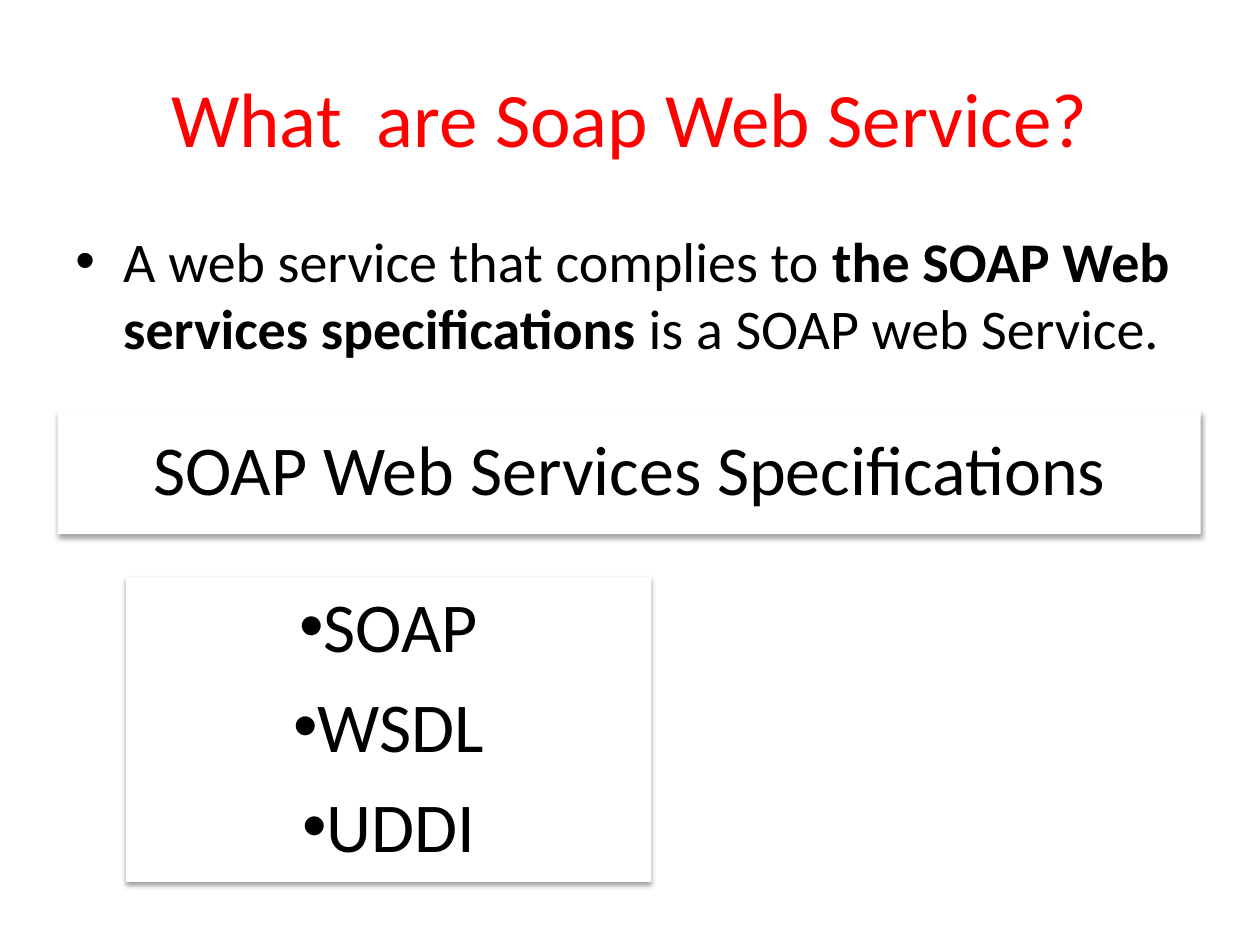
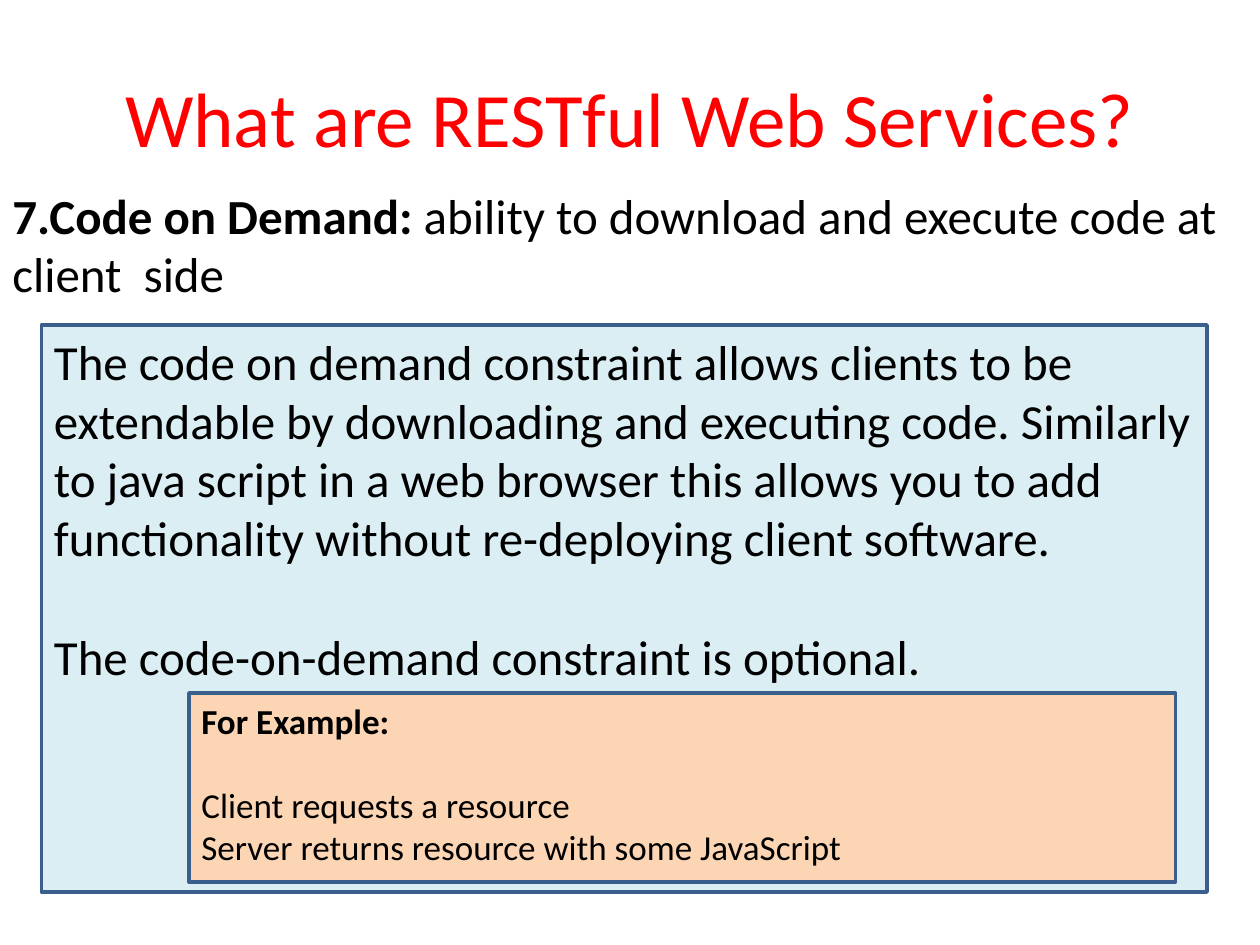
import pptx
import pptx.util
import pptx.dml.color
import pptx.enum.shapes
import pptx.enum.text
import pptx.oxml
import pptx.oxml.ns
from dataclasses import dataclass

Inches = pptx.util.Inches
Pt = pptx.util.Pt
Align = pptx.enum.text.PP_ALIGN
Anchor = pptx.enum.text.MSO_ANCHOR


@dataclass(frozen=True)
class Theme:
    font: str = "Calibri"
    title: str = "FF0000"
    ink: str = "000000"
    white: str = "FFFFFF"
    blue: str = "DBEEF4"
    peach: str = "FCD5B5"
    edge: str = "3A5F8C"
    head: int = 44
    card: int = 40
    body: int = 32
    text: int = 28
    note: int = 20


def rgb(code):
    return pptx.dml.color.RGBColor.from_string(code)


def mark(para, indent):
    """Give a paragraph a round bullet with a hanging indent in inches."""
    props = para._p.get_or_add_pPr()
    props.set("marL", str(Inches(indent)))
    props.set("indent", str(-Inches(indent)))
    for tag, key, value in (("a:buFont", "typeface", "Arial"), ("a:buChar", "char", "•")):
        item = pptx.oxml.ns.qn(tag)
        props.append(props.makeelement(item, {key: value}))


def shade(shape):
    """Add a soft shadow that falls straight down."""
    space = pptx.oxml.ns.nsdecls("a")
    props = shape._element.spPr
    props.remove(props.find(pptx.oxml.ns.qn("a:effectLst")))
    props.append(pptx.oxml.parse_xml(
        f'<a:effectLst {space}><a:outerShdw blurRad="{Pt(3.1)}" dist="{Pt(1.6)}" '
        'dir="5400000" rotWithShape="0"><a:srgbClr val="000000">'
        '<a:alpha val="38000"/></a:srgbClr></a:outerShdw></a:effectLst>'))


class Deck:
    def __init__(self, theme):
        self.theme = theme
        self.file = pptx.Presentation()
        self.file.slide_width = Inches(10)
        self.file.slide_height = Inches(7.5)
        self.slide = None

    def fill(self, frame, paras, size, color=None, align=Align.LEFT, anchor=Anchor.TOP,
             inset=None, bullet=None, line=None, after=0, gaps=()):
        """Fill a frame; a paragraph is a list of (words, bold) runs.

        gaps names the paragraphs that have one line of space before them.
        """
        frame.word_wrap = True
        frame.vertical_anchor = anchor
        if inset is not None:
            frame.margin_left = frame.margin_right = Inches(inset)
            frame.margin_top = frame.margin_bottom = Inches(inset)
        for i, runs in enumerate(paras):
            para = frame.add_paragraph() if i else frame.paragraphs[0]
            para.alignment = align
            para.space_after = Pt(after)
            para.space_before = Pt(size * 1.22 if i in gaps else 0)
            if line:
                para.line_spacing = line
            if bullet is not None:
                mark(para, bullet)
            for words, bold in runs:
                run = para.add_run()
                run.text = words
                run.font.name = self.theme.font
                run.font.size = Pt(size)
                run.font.bold = bold
                run.font.color.rgb = rgb(color or self.theme.ink)

    def page(self, title):
        self.slide = self.file.slides.add_slide(self.file.slide_layouts[5])
        head = self.slide.shapes.title
        head.left, head.top, head.width, head.height = map(Inches, (0.5, 0.3, 9, 1.25))
        self.fill(head.text_frame, [[(title, False)]], self.theme.head,
                  color=self.theme.title, align=Align.CENTER, anchor=Anchor.MIDDLE)

    def text(self, place, paras, size, **form):
        box = self.slide.shapes.add_textbox(*map(Inches, place))
        self.fill(box.text_frame, paras, size, **form)

    def rect(self, place, color, paras, size, edge=None, **form):
        kind = pptx.enum.shapes.MSO_SHAPE.RECTANGLE
        box = self.slide.shapes.add_shape(kind, *map(Inches, place))
        box.shadow.inherit = False
        box.fill.solid()
        box.fill.fore_color.rgb = rgb(color)
        if edge:
            box.line.color.rgb = rgb(edge)
            box.line.width = Pt(2)
        else:
            box.line.fill.background()
        self.fill(box.text_frame, paras, size, **form)
        return box

    def card(self, place, lines, bullet=None):
        """Draw a white raised panel with large centred lines."""
        box = self.rect(place, self.theme.white, [[(words, False)] for words in lines],
                        self.theme.card, align=Align.CENTER, anchor=Anchor.MIDDLE,
                        inset=0.03, bullet=bullet, line=0.9, after=14)
        shade(box)


def soap(deck):
    deck.page("What  are Soap Web Service?")
    deck.text((0.5, 1.75, 9, 1.3), [[
        ("A web service that complies to ", False),
        ("the SOAP Web services specifications", True),
        (" is a SOAP web Service.", False)]], deck.theme.body, bullet=0.38)
    deck.card((0.46, 3.26, 9.07, 0.98), ["SOAP Web Services Specifications"])
    deck.card((1, 4.58, 4.17, 2.42), ["SOAP", "WSDL", "UDDI"], bullet=0)


def rest(deck):
    theme = deck.theme
    deck.page("What are RESTful Web Services?")
    deck.text((0, 1.42, 9.95, 1.04), [
        [("7.Code on Demand: ", True), ("ability to download and execute code at", False)],
        [("client  side", False)]], theme.text)
    deck.rect((0.33, 2.58, 9.25, 4.5), theme.blue, [
        [("The code on demand constraint allows clients to be extendable by downloading "
          "and executing code. Similarly to java script in a web browser this allows you "
          "to add functionality without re-deploying client software.", False)],
        [("The code-on-demand constraint is optional.", False)]],
        theme.text, edge=theme.edge, gaps=(1,))
    deck.rect((1.5, 5.5, 7.83, 1.5), theme.peach, [
        [("For Example:", True)],
        [("Client requests a resource", False)],
        [("Server returns resource with some JavaScript", False)]],
        theme.note, edge=theme.edge, gaps=(1,))


def main():
    deck = Deck(Theme())
    soap(deck)
    rest(deck)
    deck.file.save("out.pptx")


if __name__ == "__main__":
    main()
